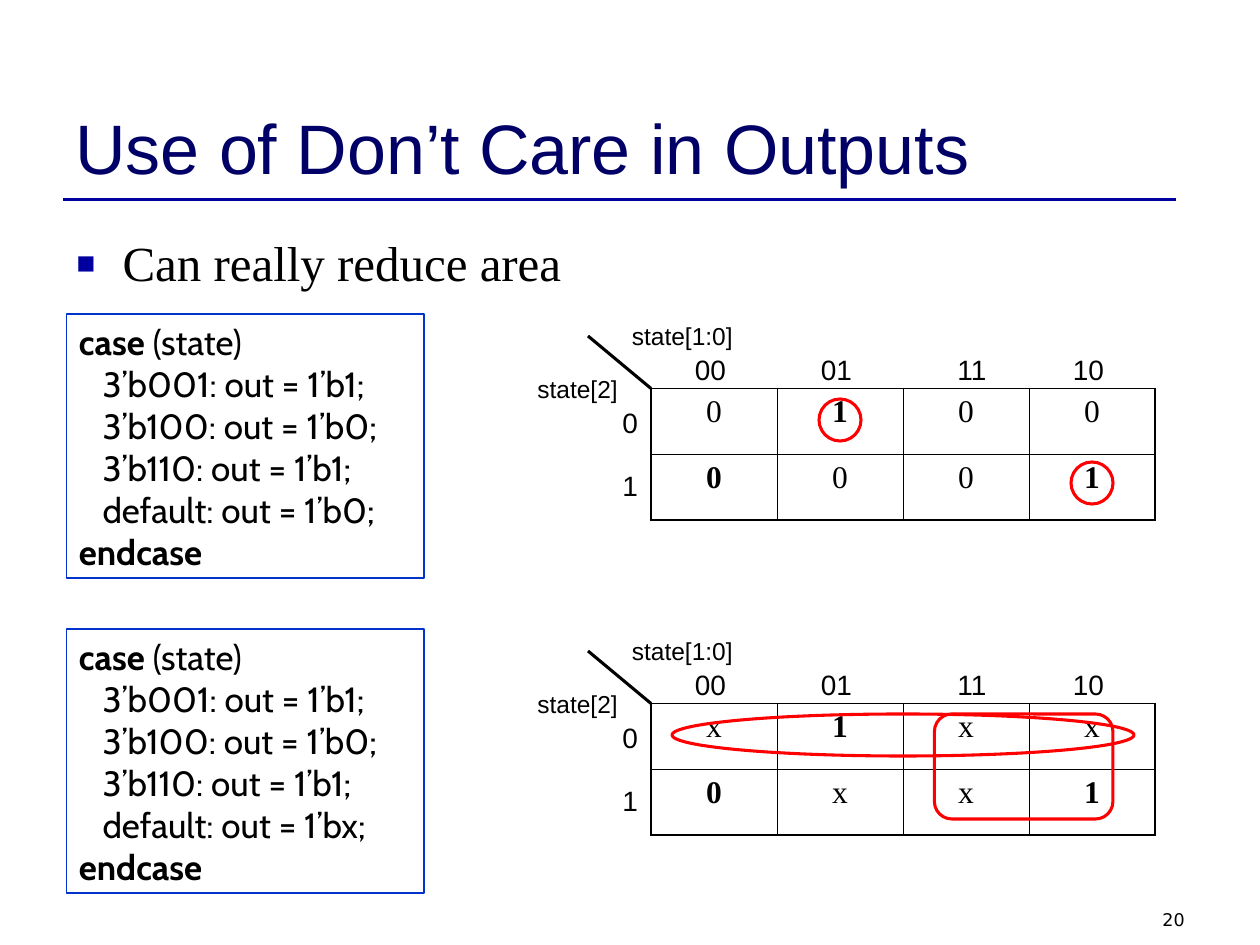
from dataclasses import dataclass
from lxml import etree
from pptx import Presentation
from pptx.dml.color import RGBColor as Rgb
from pptx.enum import shapes as sh, text as tx
from pptx.oxml import ns
from pptx.util import Pt


@dataclass(frozen=True)
class Theme:
    ink: str = "000000"
    navy: str = "000066"
    rule: str = "0000A0"
    frame: str = "0033CC"
    mark: str = "FF0000"
    sans: str = "Arial"
    serif: str = "Times New Roman"
    code: str = "Cabin"
    page: str = "DejaVu Sans"
    title: float = 40
    body: float = 28
    source: float = 20
    cell: float = 18
    head: float = 16
    axis: float = 14
    foot: float = 10
    thin: float = 0.45
    edge: float = 1.08
    bold: float = 1.75


@dataclass(frozen=True)
class Box:
    x: float
    y: float
    w: float
    h: float

    def down(self, dy: float) -> "Box":
        return Box(self.x, self.y + dy, self.w, self.h)

    def pts(self) -> list:
        return [Pt(v) for v in (self.x, self.y, self.w, self.h)]


@dataclass(frozen=True)
class Ring:
    kind: sh.MSO_SHAPE
    box: Box


@dataclass(frozen=True)
class Case:
    dy: float
    default: str
    rows: tuple
    rings: tuple


T = Theme()
GRID = Box(372, 222, 288, 75)
CODE = Box(38, 179.5, 204.5, 151)
CARE = {(0, 1), (1, 0), (1, 3)}  # cells the code names, set in bold
OVAL, ROUND = sh.MSO_SHAPE.OVAL, sh.MSO_SHAPE.ROUNDED_RECTANGLE

LABELS = [
    ("state[1:0]", Box(354, 180, 72, 24.5), T.axis),
    ("state[2]", Box(300, 210, 60.5, 24.5), T.axis),
    *[(s, Box(x, 198, 32, 26.5), T.head)
      for s, x in (("00", 390), ("01", 462), ("11", 540), ("10", 606))],
    *[(str(i), Box(348.5, 228 + 36 * i, 23, 26.5), T.head) for i in range(2)],
]

CASES = [
    Case(0, "1’b0", ("0100", "0001"),
         (Ring(OVAL, Box(468, 228, 24, 24)), Ring(OVAL, Box(612, 264, 24, 24)))),
    Case(180, "1’bx", ("x1xx", "0xx1"),
         (Ring(OVAL, Box(384, 228, 264, 24)), Ring(ROUND, Box(534, 228, 102, 60)))),
]


def style(par, face: str, size: float, color: str = T.ink) -> None:
    par.font.name, par.font.size = face, Pt(size)
    par.font.color.rgb = Rgb.from_string(color)


def write(slide, words: str, box: Box, face: str, size: float,
          color: str = T.ink, wrap: bool = True):
    frame = slide.shapes.add_textbox(*box.pts()).text_frame
    frame.word_wrap = wrap
    par = frame.paragraphs[0]
    par.add_run().text = words
    style(par, face, size, color)
    return frame


def line(slide, x: float, y: float, x2: float, y2: float,
         color: str, width: float) -> None:
    link = slide.shapes.add_connector(
        sh.MSO_CONNECTOR.STRAIGHT, Pt(x), Pt(y), Pt(x2), Pt(y2))
    link.line.color.rgb, link.line.width = Rgb.from_string(color), Pt(width)
    etree.SubElement(link._element.spPr, ns.qn("a:effectLst"))


def outline(slide, kind, box: Box, color: str, width: float):
    shape = slide.shapes.add_shape(kind, *box.pts())
    shape.shadow.inherit = False
    shape.fill.background()
    shape.line.color.rgb, shape.line.width = Rgb.from_string(color), Pt(width)
    return shape


def bullet(par) -> None:
    prop = par._p.get_or_add_pPr()
    prop.set("marL", str(Pt(27)))
    prop.set("indent", str(-Pt(27)))
    tint = etree.SubElement(prop, ns.qn("a:buClr"))
    etree.SubElement(tint, ns.qn("a:srgbClr"), val=T.rule)
    etree.SubElement(prop, ns.qn("a:buSzPct"), val="125000")
    etree.SubElement(prop, ns.qn("a:buFont"), typeface=T.sans)
    etree.SubElement(prop, ns.qn("a:buChar"), char="▪")


def border(cell, side: str, width: float) -> None:
    edge = etree.SubElement(cell._tc.get_or_add_tcPr(), ns.qn("a:ln" + side),
                            w=str(Pt(width)))
    fill = etree.SubElement(edge, ns.qn("a:solidFill"))
    etree.SubElement(fill, ns.qn("a:srgbClr"), val=T.ink)


def source(slide, case: Case) -> None:
    shape = outline(slide, sh.MSO_SHAPE.RECTANGLE, CODE.down(case.dy), T.frame, 1)
    frame = shape.text_frame
    frame.word_wrap, frame.vertical_anchor = True, tx.MSO_ANCHOR.TOP
    rows = [("case", " (state)"), ("", "   3’b001: out = 1’b1;"),
            ("", "   3’b100: out = 1’b0;"), ("", "   3’b110: out = 1’b1;"),
            ("", f"   default: out = {case.default};"), ("endcase", "")]
    for i, (key, rest) in enumerate(rows):
        par = frame.add_paragraph() if i else frame.paragraphs[0]
        par.alignment = tx.PP_ALIGN.LEFT
        style(par, T.code, T.source)
        for words, strong in ((key, True), (rest, False)):
            if words:
                run = par.add_run()
                run.text, run.font.bold = words, strong


def grid(slide, case: Case) -> None:
    rows, cols = len(case.rows), len(case.rows[0])
    table = slide.shapes.add_table(rows, cols, *GRID.down(case.dy).pts()).table
    table.first_row = table.horz_banding = False
    for r, row in enumerate(case.rows):
        for c, mark in enumerate(row):
            cell = table.cell(r, c)
            outer = {"L": c == 0, "R": c == cols - 1,
                     "T": r == 0, "B": r == rows - 1}
            for side, out in outer.items():
                border(cell, side, T.edge if out else T.thin)
            cell.fill.background()
            par = cell.text_frame.paragraphs[0]
            par.add_run().text = mark
            par.alignment = tx.PP_ALIGN.CENTER
            style(par, T.serif, T.cell)
            par.font.bold = (r, c) in CARE


def main() -> None:
    deck = Presentation()
    deck.slide_width, deck.slide_height = Pt(720), Pt(540)
    slide = deck.slides.add_slide(deck.slide_layouts[6])

    # Title, rule, page number
    line(slide, 36, 114, 672, 114, T.rule, 1.5)
    foot = write(slide, "20", Box(516, 516, 168, 18), T.page, T.foot)
    foot.paragraphs[0].alignment = tx.PP_ALIGN.RIGHT
    title = write(slide, "Use of Don’t Care in Outputs",
                  Box(36, 21.5, 648, 90), T.sans, T.title, T.navy)
    title.vertical_anchor = tx.MSO_ANCHOR.BOTTOM

    # Bullet line
    body = slide.shapes.add_textbox(*Box(36, 126, 648, 48).pts()).text_frame
    body.word_wrap, body.margin_top = True, Pt(7)
    par = body.paragraphs[0]
    par.add_run().text = "Can really reduce area"
    bullet(par)
    style(par, T.serif, T.body)

    # Code beside its Karnaugh map
    for case in CASES:
        source(slide, case)
        grid(slide, case)
        top = GRID.y + case.dy
        line(slide, GRID.x, top, GRID.x - 36, top - 30, T.ink, T.bold)
        for words, box, size in LABELS:
            write(slide, words, box.down(case.dy), T.sans, size, wrap=False)
        for ring in case.rings:
            outline(slide, ring.kind, ring.box.down(case.dy), T.mark, T.bold)

    deck.save("out.pptx")


if __name__ == "__main__":
    main()
